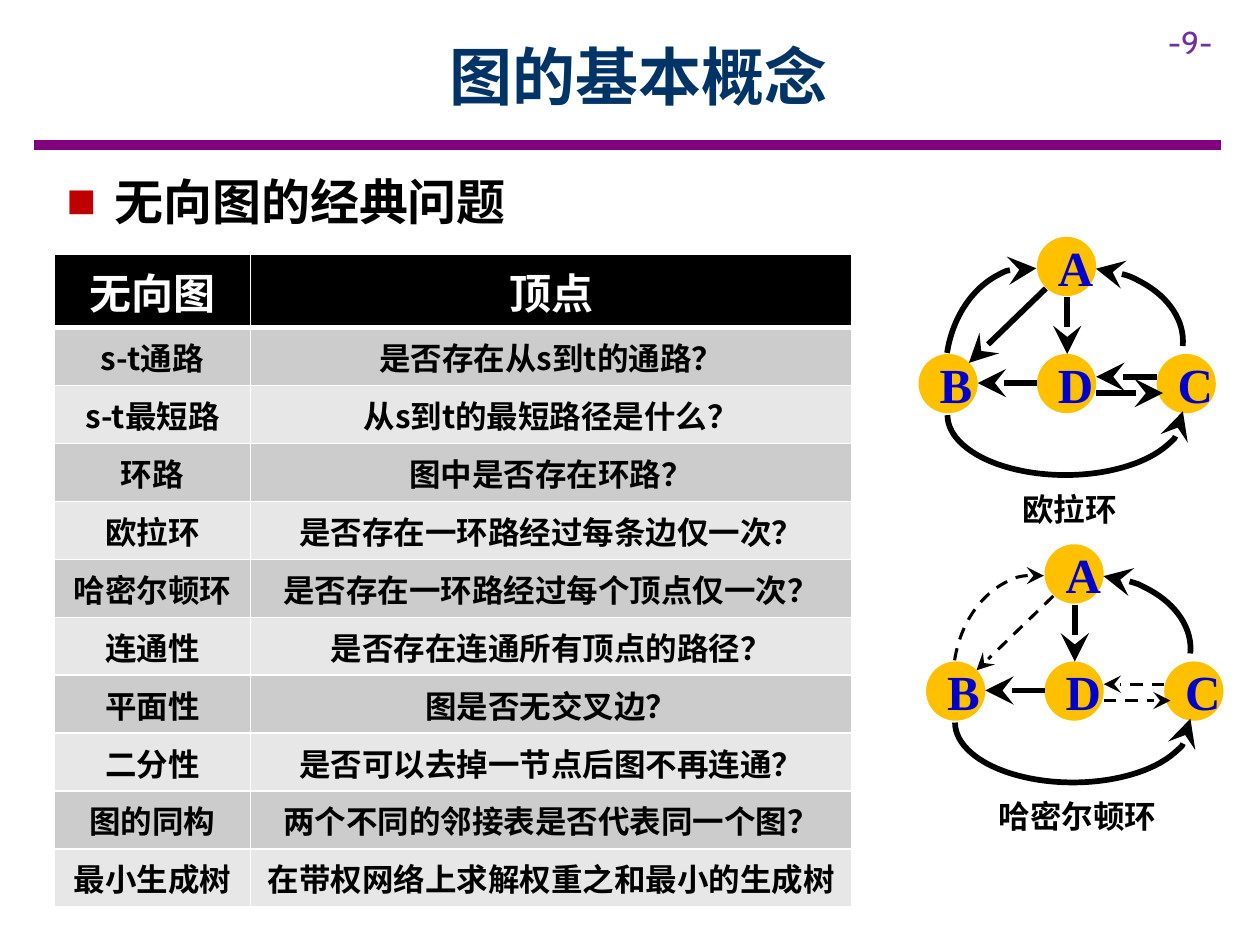
"""Build a slide on classic graph problems with a table and two example graphs."""
from typing import NamedTuple

from lxml import etree
from pptx import Presentation
from pptx import util as u
from pptx.dml import color
from pptx.enum import dml, shapes, text
from pptx.oxml import ns

COLORS = {"title": "003366", "rule": "800080", "page": "7030A0", "bullet": "C00000",
          "black": "000000", "white": "FFFFFF", "odd": "CCCCCC", "even": "E7E7E7",
          "vertex": "FFC000", "letter": "0000CC"}
SANS, SERIF, CABIN = "Noto Sans CJK SC", "Times New Roman", "Cabin"
DIAMETER = 0.47
HEADER_HEIGHT, ROW_HEIGHT = 0.58, 0.46


class Vertex(NamedTuple):
    letter: str
    left: float
    top: float


class Edge(NamedTuple):
    name: str
    start: tuple[float, float]
    end: tuple[float, float]


class Arc(NamedTuple):
    name: str
    box: tuple[float, float, float, float]
    rotation: float
    flip: str | None = None
    angles: tuple[float, float] = (162, 0)


class Graph(NamedTuple):
    caption: str
    caption_left: float
    caption_width: float
    dx: float
    dy: float
    dashed: frozenset[str]


VERTICES = [Vertex("A", 8.23, 1.88), Vertex("B", 7.29, 2.81),
            Vertex("D", 8.23, 2.81), Vertex("C", 9.18, 2.81)]
EDGES = [Edge("AD", (8.47, 2.36), (8.47, 2.81)), Edge("DB", (8.23, 3.04), (7.76, 3.04)),
         Edge("AB", (8.3, 2.29), (7.69, 2.88)), Edge("CD", (9.18, 2.99), (8.7, 2.99)),
         Edge("DC", (8.7, 3.12), (9.23, 3.12))]
ARCS = [Arc("BA", (7.34, 2.29, 1.54, 1.2), 278.6),
        Arc("CA", (8.1, 1.93, 1.09, 1.49), 275.5, "flipV"),
        Arc("BC", (7.98, 2.36, 0.95, 1.87), 270, "flipH", (162, 55.127))]
GRAPHS = [Graph("欧拉环", 8.01, 0.96, 0, 0, frozenset()),
          Graph("哈密尔顿环", 7.82, 1.46, 0.06, 2.44, frozenset({"AB", "CD", "DC", "BA"}))]
PROBLEMS = [("无向图", "顶点"),
            ("s-t通路", "是否存在从s到t的通路？"),
            ("s-t最短路", "从s到t的最短路径是什么？"),
            ("环路", "图中是否存在环路？"),
            ("欧拉环", "是否存在一环路经过每条边仅一次？"),
            ("哈密尔顿环", "是否存在一环路经过每个顶点仅一次？"),
            ("连通性", "是否存在连通所有顶点的路径？"),
            ("平面性", "图是否无交叉边？"),
            ("二分性", "是否可以去掉一节点后图不再连通？"),
            ("图的同构", "两个不同的邻接表是否代表同一个图？"),
            ("最小生成树", "在带权网络上求解权重之和最小的生成树")]


def rgb(name: str) -> color.RGBColor:
    return color.RGBColor.from_string(COLORS[name])


def add_xml(parent, tag: str, **attributes: str):
    return etree.SubElement(parent, ns.qn(tag), attributes)


def write(frame, words: str, size: float, ink: str, face: str = SANS,
          bold: bool = True, align=text.PP_ALIGN.CENTER):
    paragraph = frame.paragraphs[0]
    paragraph.alignment = align
    run = paragraph.add_run()
    run.text = words
    for key, value in {"size": u.Pt(size), "bold": bold, "name": face}.items():
        setattr(run.font, key, value)
    run.font.color.rgb = rgb(ink)
    add_xml(run.font._element, "a:ea", typeface=face)
    return paragraph


def add_text(slide, box: tuple[float, float, float, float], words: str, size: float,
             ink: str, wrap: bool = True, anchor=text.MSO_ANCHOR.TOP, **style):
    frame = slide.shapes.add_textbox(*map(u.Inches, box)).text_frame
    for key, value in {"word_wrap": wrap, "vertical_anchor": anchor}.items():
        setattr(frame, key, value)
    return write(frame, words, size, ink, **style)


def add_line(slide, start: tuple[float, float], end: tuple[float, float]):
    line = slide.shapes.add_connector(shapes.MSO_CONNECTOR.STRAIGHT, *map(u.Inches, start + end))
    add_xml(line.element.spPr, "a:effectLst")
    return line


def style_edge(edge, dashed: bool) -> None:
    edge.line.color.rgb = rgb("black")
    edge.line.width = u.Pt(1.75 if dashed else 3.25)
    if dashed:
        edge.line.dash_style = dml.MSO_LINE.DASH
    outline = edge.element.spPr.find(ns.qn("a:ln"))
    add_xml(outline, "a:tailEnd", type="stealth", w="lg", len="lg")


def add_vertex(slide, vertex: Vertex, graph: Graph) -> None:
    box = (vertex.left + graph.dx, vertex.top + graph.dy, DIAMETER, DIAMETER)
    disc = slide.shapes.add_shape(shapes.MSO_SHAPE.OVAL, *map(u.Inches, box))
    disc.shadow.inherit = False
    disc.fill.solid()
    disc.fill.fore_color.rgb = rgb("vertex")
    disc.line.fill.background()
    for side in ("left", "top", "right", "bottom"):
        setattr(disc.text_frame, f"margin_{side}", u.Inches(0.1))
    write(disc.text_frame, vertex.letter, 28, "letter", SERIF)


def add_arc(slide, arc: Arc, graph: Graph) -> None:
    left, top, width, height = arc.box
    box = (left + graph.dx, top + graph.dy, width, height)
    curve = slide.shapes.add_shape(shapes.MSO_SHAPE.ARC, *map(u.Inches, box))
    curve.shadow.inherit = False
    curve.fill.background()
    curve.rotation = arc.rotation
    for index, angle in enumerate(arc.angles):
        curve.adjustments[index] = angle
    if arc.flip:
        curve.element.spPr.xfrm.set(arc.flip, "1")
    style_edge(curve, arc.name in graph.dashed)


def add_graph(slide, graph: Graph) -> None:
    for vertex in VERTICES:
        add_vertex(slide, vertex, graph)
    for edge in EDGES:
        start, end = ((x + graph.dx, y + graph.dy) for x, y in (edge.start, edge.end))
        style_edge(add_line(slide, start, end), edge.name in graph.dashed)
    for arc in ARCS:
        add_arc(slide, arc, graph)
    add_text(slide, (graph.caption_left, 3.84 + graph.dy, graph.caption_width, 0.4),
             graph.caption, 18, "black", wrap=False)


def add_border(cell, side: str, points: float) -> None:
    border = add_xml(cell._tc.get_or_add_tcPr(), f"a:ln{side}", w=str(u.Pt(points)))
    add_xml(add_xml(border, "a:solidFill"), "a:srgbClr", val=COLORS["white"])


def add_problems(slide) -> None:
    height = HEADER_HEIGHT + ROW_HEIGHT * (len(PROBLEMS) - 1)
    box = map(u.Inches, (0.43, 2.02, 6.33, height))
    table = slide.shapes.add_table(len(PROBLEMS), 2, *box).table
    for column, width in zip(table.columns, (1.56, 4.77)):
        column.width = u.Inches(width)
    for index, problem in enumerate(PROBLEMS):
        header = index == 0
        table.rows[index].height = u.Inches(HEADER_HEIGHT if header else ROW_HEIGHT)
        fill = "black" if header else ("even", "odd")[index % 2]
        for cell, words in zip(table.rows[index].cells, problem):
            borders = {"L": 1, "R": 1, "T": 3 if index == 1 else 1, "B": 3 if header else 1}
            for side, points in borders.items():
                add_border(cell, side, points)
            cell.fill.solid()
            cell.fill.fore_color.rgb = rgb(fill)
            cell.vertical_anchor = text.MSO_ANCHOR.MIDDLE
            write(cell.text_frame, words, 24 if header else 18, "white" if header else "black")


def add_heading(slide) -> None:
    rule = add_line(slide, (0.27, 1.15), (9.69, 1.15))
    rule.line.color.rgb = rgb("rule")
    rule.line.width = u.Pt(6)
    left = text.PP_ALIGN.LEFT
    add_text(slide, (9.17, 0.13, 0.83, 0.4), "-9-", 18, "page", face=CABIN, bold=False, align=left)
    add_text(slide, (0.91, 0.1, 8.31, 1), "图的基本概念", 36, "title",
             anchor=text.MSO_ANCHOR.MIDDLE)
    topic = add_text(slide, (0.43, 1.31, 5.67, 0.57), "无向图的经典问题", 28, "black", align=left)
    topic.space_after = u.Pt(3)
    indents = topic._p.get_or_add_pPr()
    for key, value in {"marL": 0.38, "indent": -0.38}.items():
        indents.set(key, str(u.Inches(value)))
    add_xml(add_xml(indents, "a:buClr"), "a:srgbClr", val=COLORS["bullet"])
    add_xml(indents, "a:buFont", typeface=SERIF)
    add_xml(indents, "a:buChar", char="■")


def main() -> None:
    deck = Presentation()
    deck.slide_width, deck.slide_height = u.Inches(10), u.Inches(7.5)
    slide = deck.slides.add_slide(deck.slide_layouts[6])
    add_heading(slide)
    add_problems(slide)
    for graph in GRAPHS:
        add_graph(slide, graph)
    deck.save("out.pptx")


if __name__ == "__main__":
    main()
